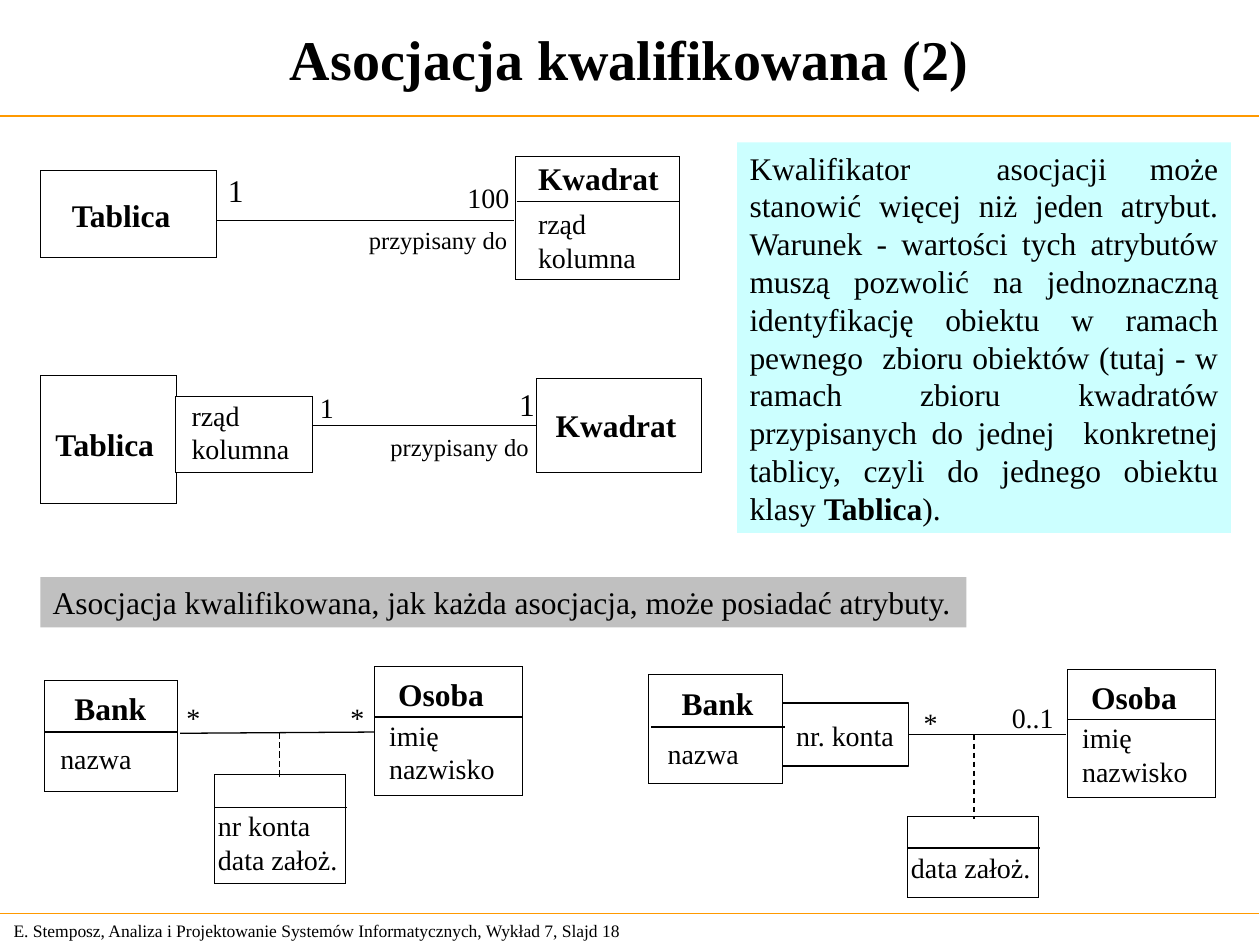
"""Build a slide on qualified associations in class diagrams."""
from dataclasses import dataclass
from typing import Optional

from lxml.etree import SubElement
from pptx import Presentation
from pptx.dml.color import RGBColor
from pptx.enum.dml import MSO_LINE
from pptx.enum.shapes import MSO_CONNECTOR, MSO_SHAPE
from pptx.enum.text import MSO_ANCHOR, MSO_AUTO_SIZE, PP_ALIGN
from pptx.oxml.ns import qn
from pptx.util import Inches, Pt

BLACK = RGBColor(0, 0, 0)
WHITE = RGBColor(0xFF, 0xFF, 0xFF)
ORANGE = RGBColor(0xFF, 0x99, 0x00)
CYAN = RGBColor(0xCC, 0xFF, 0xFF)
GRAY = RGBColor(0xC0, 0xC0, 0xC0)
FACE = "Times New Roman"


@dataclass
class Box:
    x: float
    y: float
    w: float
    h: float
    fill: Optional[RGBColor] = WHITE
    edge: Optional[float] = 0


@dataclass
class Label:
    text: str
    x: float
    y: float
    w: float
    h: float = 0.27
    size: int = 16
    bold: bool = False
    pad: bool = False
    wrap: bool = False


@dataclass
class Line:
    x: float
    y: float
    to_x: float
    to_y: float
    width: float = 0.75
    color: RGBColor = BLACK
    dash: bool = False


def apply(target, values: dict) -> None:
    for name, value in values.items():
        setattr(target, name, value)


def style(font, size: int, bold: bool = False) -> None:
    apply(font, {"name": FACE, "size": Pt(size), "bold": bold})
    font.color.rgb = BLACK


def frame(body, pad: bool, wrap: bool) -> None:
    side, edge = (Inches(0.1), Inches(0.05)) if pad else (0, 0)
    apply(body, {"margin_left": side, "margin_right": side,
                 "margin_top": edge, "margin_bottom": edge,
                 "word_wrap": wrap, "vertical_anchor": MSO_ANCHOR.TOP,
                 "auto_size": MSO_AUTO_SIZE.SHAPE_TO_FIT_TEXT})


def stroke(shape, color: RGBColor, width: float) -> None:
    shape.line.color.rgb = color
    shape._element.spPr.find(qn("a:ln")).set("w", str(int(Pt(width))))


def add_box(shapes, box: Box, dx: float = 0, dy: float = 0):
    shape = shapes.add_shape(MSO_SHAPE.RECTANGLE, Inches(box.x + dx),
                             Inches(box.y + dy), Inches(box.w), Inches(box.h))
    shape.shadow.inherit = False
    if box.fill is None:
        shape.fill.background()
    else:
        shape.fill.solid()
        shape.fill.fore_color.rgb = box.fill
    if box.edge is None:
        shape.line.fill.background()
    else:
        stroke(shape, BLACK, box.edge)
    return shape


def add_label(shapes, label: Label, dx: float, dy: float) -> None:
    body = shapes.add_textbox(Inches(label.x + dx), Inches(label.y + dy),
                              Inches(label.w), Inches(label.h)).text_frame
    frame(body, label.pad, label.wrap)
    body.text = label.text
    for para in body.paragraphs:
        style(para.font, label.size, label.bold)


def add_line(shapes, line: Line, dx: float, dy: float) -> None:
    link = shapes.add_connector(MSO_CONNECTOR.STRAIGHT, Inches(line.x + dx),
                                Inches(line.y + dy), Inches(line.to_x + dx),
                                Inches(line.to_y + dy))
    stroke(link, line.color, line.width)
    if line.dash:
        link.line.dash_style = MSO_LINE.DASH
    SubElement(link._element.spPr, qn("a:effectLst"))


def draw(shapes, items: list, dx: float = 0, dy: float = 0) -> None:
    tools = {Box: add_box, Label: add_label, Line: add_line}
    for item in items:
        tools[type(item)](shapes, item, dx, dy)


def add_panel(shapes, box: Box, parts: list, align, wrap: bool) -> None:
    body = add_box(shapes, box).text_frame
    frame(body, True, wrap)
    para = body.paragraphs[0]
    para.alignment = align
    for text, bold in parts:
        run = para.add_run()
        run.text = text
        style(run.font, 18, bold)


def head(text: str, x: float, y: float, w: float) -> Label:
    return Label(text, x, y, w, 0.3, 18, True)


def role(x: float, y: float) -> Label:
    return Label("przypisany do", x, y, 1.3, 0.34, 14, pad=True)


FIELDS = "rząd\nkolumna"
BOARD = [
    Box(0.32, 2.98, 1.08, 1.02), head("Tablica", 0.44, 3.37, 0.81),
    Box(4.26, 3, 1.31, 0.75), head("Kwadrat", 4.41, 3.22, 0.96),
    Line(1.39, 3.38, 4.26, 3.38, 0), Box(1.39, 3.15, 1.09, 0.6),
    Label(FIELDS, 1.52, 3.16, 0.78, 0.53),
    Label("1", 4.12, 3.06, 0.13, 0.3, 18),
    Label("1", 2.44, 3.05, 0.31, 0.37, pad=True),
]
TABLE = [
    Box(0.32, 1.35, 1.4, 0.69), head("Tablica", 0.57, 1.56, 0.81),
    Label("1", 1.81, 1.36, 0.13, 0.3, 18), Label("100", 3.71, 1.43, 0.35),
    Line(1.72, 1.75, 4.08, 1.75), role(2.83, 1.74), role(3, 3.38),
]
SQUARE = [
    Box(4.09, 1.24, 1.3, 0.98), head("Kwadrat", 4.27, 1.26, 0.96),
    Label(FIELDS, 4.27, 1.64, 0.78, 0.53), Line(4.1, 1.6, 5.39, 1.6),
]
BANK = [
    head("Bank", 0.24, 0.07, 0.58), Line(0, 0.41, 1.06, 0.41),
    Label("nazwa", 0.03, 0.44, 0.78, 0.37, pad=True),
]
PERSON = [
    Box(0, 0, 1.18, 1.02), head("Osoba", 0.19, 0.07, 0.7),
    Line(0.01, 0.4, 1.18, 0.4),
    Label("imię\nnazwisko", 0.02, 0.36, 1.05, 0.64, pad=True),
]
LINKS = [
    Box(1.7, 6.15, 1.04, 0.86), Line(1.71, 6.41, 2.75, 6.41),
    Label("nr konta\ndata założ.", 1.73, 6.42, 0.95, 0.53),
    Label("*", 1.48, 5.56, 0.19, wrap=True), Label("*", 2.78, 5.56, 0.11),
    Line(2.22, 5.82, 2.22, 6.17, 0, dash=True), Line(1.43, 5.82, 2.97, 5.81),
    Box(0.35, 5.4, 1.06, 0.88), Box(5.15, 5.35, 1.06, 0.87),
    Box(7.2, 6.48, 1.04, 0.64), Line(7.21, 6.73, 8.25, 6.73),
    Label("data założ.", 7.23, 6.75, 0.95),
    Label("*", 7.33, 5.6, 0.19, wrap=True), Label("0..1", 8.03, 5.56, 0.35),
    Label("nr. konta", 6.22, 5.65, 0.99, 0.37, pad=True),
    Box(6.21, 5.58, 1, 0.5, None, 0.75),
    Line(7.73, 5.83, 7.73, 6.5, dash=True), Line(7.21, 5.83, 8.46, 5.83),
]
EDGES = [
    Label("E. Stemposz, Analiza i Projektowanie Systemów Informatycznych, "
          "Wykład 7, Slajd 18", 0.01, 7.25, 5.24, size=10, pad=True, wrap=True),
    *[Line(-0.01, y, 9.99, y, color=ORANGE) for y in (0.92, 7.25)],
]
RULE = [
    ("Kwalifikator  asocjacji może stanowić więcej niż jeden atrybut. "
     "Warunek - wartości tych atrybutów muszą pozwolić na jednoznaczną "
     "identyfikację obiektu w ramach pewnego  zbioru obiektów (tutaj - w "
     "ramach zbioru kwadratów przypisanych do jednej  konkretnej tablicy, "
     "czyli do jednego obiektu klasy ", False),
    ("Tablica", True), (").", False),
]
CLAIM = "Asocjacja kwalifikowana, jak każda asocjacja, może posiadać atrybuty."


def main() -> None:
    deck = Presentation()
    apply(deck, {"slide_width": Inches(10), "slide_height": Inches(7.5)})
    shapes = deck.slides.add_slide(deck.slide_layouts[5]).shapes
    title = shapes.title
    apply(title, {"left": 0, "top": 0, "width": Inches(9.99),
                  "height": Inches(0.92)})
    title.text = "Asocjacja kwalifikowana (2)"
    frame(title.text_frame, True, True)
    apply(title.text_frame, {"auto_size": MSO_AUTO_SIZE.NONE,
                             "vertical_anchor": MSO_ANCHOR.MIDDLE})
    para = title.text_frame.paragraphs[0]
    para.alignment = PP_ALIGN.CENTER
    style(para.font, 32, True)
    draw(shapes, EDGES)
    draw(shapes.add_group_shape().shapes, BOARD)
    draw(shapes, TABLE)
    draw(shapes.add_group_shape().shapes, SQUARE)
    add_panel(shapes, Box(5.85, 1.13, 3.92, 3.1, CYAN, None), RULE,
              PP_ALIGN.JUSTIFY, True)
    add_panel(shapes, Box(0.32, 4.58, 7.35, 0.4, GRAY, None),
              [(CLAIM, False)], PP_ALIGN.LEFT, False)
    draw(shapes, LINKS)
    for x, y in ((0.35, 5.4), (5.17, 5.36)):
        draw(shapes, BANK, x, y)
    for x, y in ((2.97, 5.29), (8.47, 5.31)):
        draw(shapes.add_group_shape().shapes, PERSON, x, y)
    deck.save("out.pptx")


if __name__ == "__main__":
    main()
